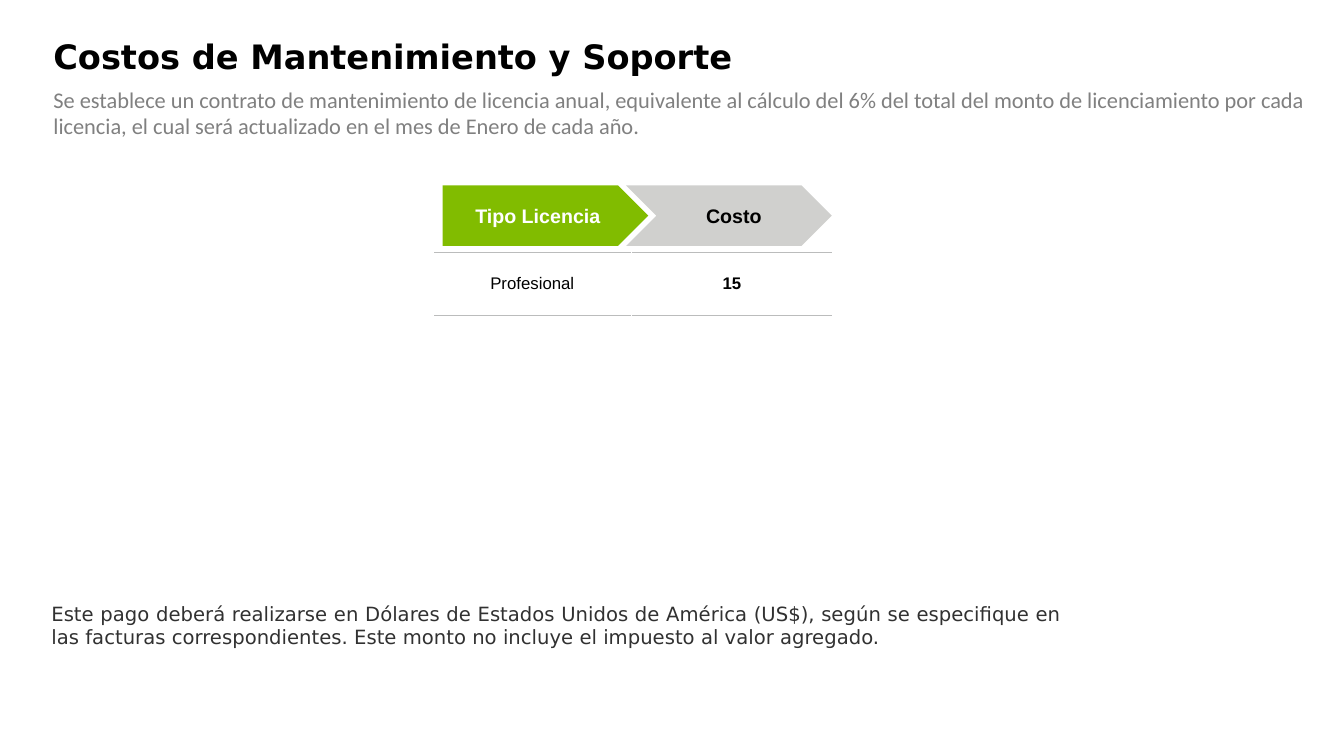
from dataclasses import dataclass

from lxml.etree import SubElement
from pptx import Presentation
from pptx.dml.color import RGBColor
from pptx.enum.shapes import MSO_SHAPE
from pptx.enum.text import MSO_ANCHOR, PP_ALIGN
from pptx.oxml.ns import qn
from pptx.util import Emu, Inches, Pt

BLACK = RGBColor(0x00, 0x00, 0x00)
WHITE = RGBColor(0xFF, 0xFF, 0xFF)
GREEN = RGBColor(0x81, 0xBC, 0x00)
SILVER = RGBColor(0xD0, 0xD0, 0xCE)
RULE = RGBColor(0xBB, 0xBC, 0xBC)
GRAY = RGBColor(0x80, 0x80, 0x80)
DARK = RGBColor(0x31, 0x31, 0x31)

# Grid of square cells, 133.3 columns by 75 rows
COLS, ROWS = 133.3, 75
HEAD_LEFT, HEAD_TOP, HEAD_STEP = 43.9, 18.4, 18.2
HEAD_W, HEAD_H = 20.4, 6


def cells(n: float) -> Emu:
    return Inches(n / 10)


@dataclass
class Font:
    name: str
    size: float
    color: RGBColor
    bold: bool = False


@dataclass
class TextBlock:
    text: str
    box: tuple[float, float, float, float]
    font: Font
    inset: tuple[float, float, float, float] = (0, 0, 0, 0)
    anchor: MSO_ANCHOR = MSO_ANCHOR.TOP
    align: PP_ALIGN = PP_ALIGN.LEFT
    before: float = 0
    after: float = 0
    spacing: float = 1.0


@dataclass
class Header:
    text: str
    shape: MSO_SHAPE
    fill: RGBColor
    color: RGBColor
    right_inset: float


TEXTS = [
    TextBlock("Este pago deberá realizarse en Dólares de Estados Unidos de América (US$), "
              "según se especifique en las facturas correspondientes. "
              "Este monto no incluye el impuesto al valor agregado.",
              (5.1, 59.7, 100.2, 9.2), Font("DejaVu Sans", 14, DARK),
              align=PP_ALIGN.JUSTIFY, before=2.8, after=2.2),
    TextBlock("Se establece un contrato de mantenimiento de licencia anual, equivalente al "
              "cálculo del 6% del total del monto de licenciamiento por cada licencia, "
              "el cual será actualizado en el mes de Enero de cada año.",
              (5.3, 8.5, 126.2, 7.7), Font("Calibri", 16, GRAY), before=12),
    TextBlock("Costos de Mantenimiento y Soporte",
              (4.3, 4, 123.1, 3.6), Font("DejaVu Sans", 24, BLACK, True),
              inset=(1, 0.5, 1, 0.5), anchor=MSO_ANCHOR.MIDDLE, spacing=0.9),
]
HEADERS = [
    Header("Tipo Licencia", MSO_SHAPE.PENTAGON, GREEN, WHITE, 1),
    Header("Costo", MSO_SHAPE.CHEVRON, SILVER, BLACK, 0),
]
COSTS = [("Profesional", 19.6, False), ("15", 20, True)]


def write(tf, text: str, font: Font, align: PP_ALIGN):
    tf.text = text
    p = tf.paragraphs[0]
    p.alignment = align
    f = p.runs[0].font
    f.name, f.size, f.bold = font.name, Pt(font.size), font.bold
    f.color.rgb = font.color
    return p


def set_frame(tf, inset: tuple, anchor: MSO_ANCHOR) -> None:
    tf.word_wrap = True
    tf.vertical_anchor = anchor
    (tf.margin_left, tf.margin_top,
     tf.margin_right, tf.margin_bottom) = map(cells, inset)


def add_text(s, block: TextBlock) -> None:
    tf = s.shapes.add_textbox(*map(cells, block.box)).text_frame
    set_frame(tf, block.inset, block.anchor)
    p = write(tf, block.text, block.font, block.align)
    p.space_before, p.space_after = Pt(block.before), Pt(block.after)
    p.line_spacing = block.spacing


def add_header(s, i: int, header: Header) -> None:
    sp = s.shapes.add_shape(header.shape, cells(HEAD_LEFT + i * HEAD_STEP),
                            cells(HEAD_TOP), cells(HEAD_W), cells(HEAD_H))
    sp.shadow.inherit = False
    sp.fill.solid()
    sp.fill.fore_color.rgb = header.fill
    sp.line.fill.background()
    set_frame(sp.text_frame, (1, 1, header.right_inset, 1), MSO_ANCHOR.MIDDLE)
    write(sp.text_frame, header.text, Font("Arial", 14, header.color, True), PP_ALIGN.CENTER)


def add_rules(cell) -> None:
    tc_pr = cell._tc.get_or_add_tcPr()
    for side in ("a:lnT", "a:lnB"):
        ln = SubElement(tc_pr, qn(side), w=str(Pt(0.5)))
        SubElement(SubElement(ln, qn("a:solidFill")), qn("a:srgbClr"), val=str(RULE))


def add_costs(s) -> None:
    width = sum(w for _, w, _ in COSTS)
    table = s.shapes.add_table(1, len(COSTS), cells(43), cells(25),
                               cells(width), cells(6.3)).table
    table.first_row = table.horz_banding = False
    for i, (text, w, bold) in enumerate(COSTS):
        table.columns[i].width = cells(w)
        cell = table.cell(0, i)
        cell.vertical_anchor = MSO_ANCHOR.MIDDLE
        write(cell.text_frame, text, Font("Arial", 12, BLACK, bold), PP_ALIGN.CENTER)
        add_rules(cell)
        cell.fill.background()


def main() -> None:
    prs = Presentation()
    prs.slide_width, prs.slide_height = cells(COLS), cells(ROWS)
    s = prs.slides.add_slide(prs.slide_layouts[6])

    # Title, introduction and payment note
    for block in TEXTS:
        add_text(s, block)

    # Cost table with its arrow headers
    add_costs(s)
    for i, header in enumerate(HEADERS):
        add_header(s, i, header)

    prs.save("out.pptx")


if __name__ == "__main__":
    main()
